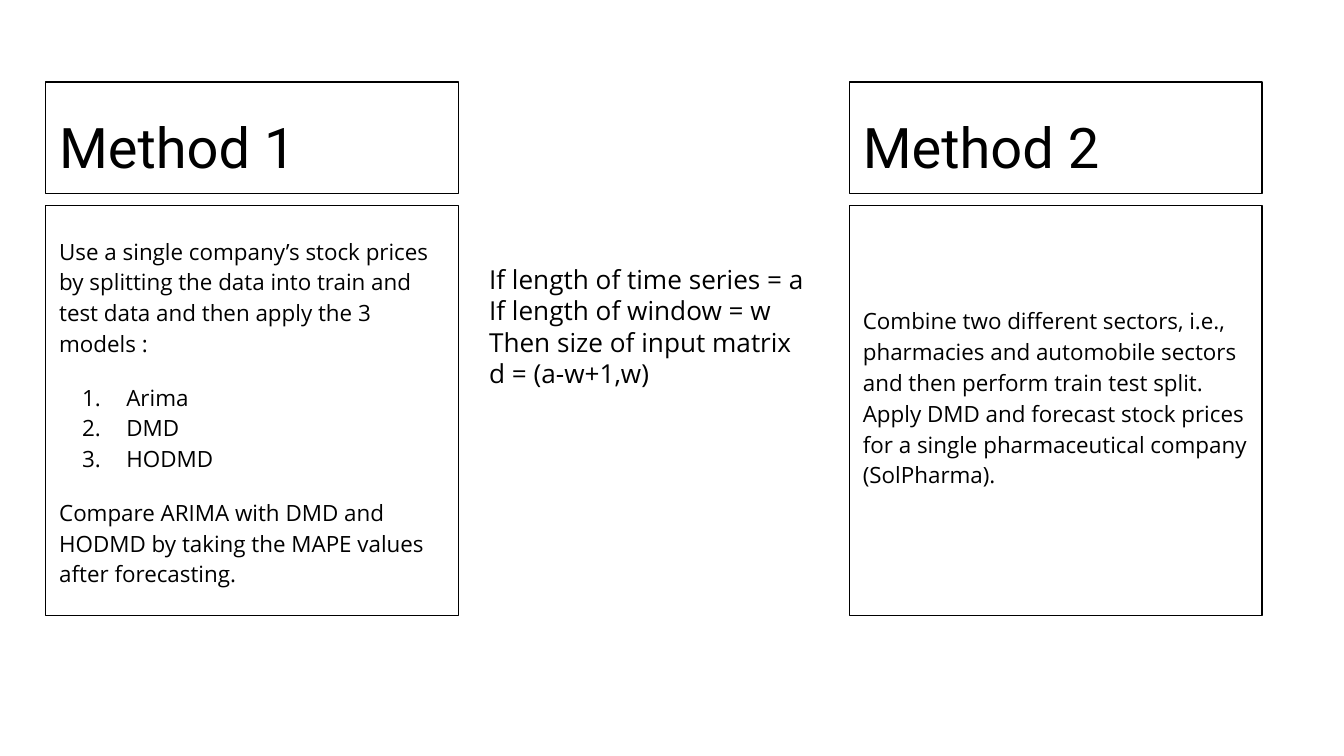
"""Build a slide that compares two forecasting methods."""
from lxml.etree import SubElement
from pptx import Presentation
from pptx.dml.color import RGBColor
from pptx.enum.text import MSO_ANCHOR, MSO_AUTO_SIZE, PP_ALIGN
from pptx.oxml.ns import qn
from pptx.util import Inches, Pt

BLACK = RGBColor(0, 0, 0)
WHITE = RGBColor(255, 255, 255)
HEAD = {"name": "Roboto", "size": Pt(30), "bold": False}
BODY = {"name": "Open Sans", "size": Pt(12), "bold": False}
NOTE = {"name": "Open Sans", "size": Pt(14), "bold": False}
INSET = Inches(0.1)
FRAME = {
    "word_wrap": True,
    "auto_size": MSO_AUTO_SIZE.NONE,
    "margin_left": INSET,
    "margin_right": INSET,
    "margin_top": INSET,
    "margin_bottom": INSET,
}


def place(shape, left, top, width, height):
    box = {"left": left, "top": top, "width": width, "height": height}
    for key, value in box.items():
        setattr(shape, key, Inches(value))
    shape.line.color.rgb = BLACK
    shape.line.width = Pt(0.75)


def write(shape, lines, font, anchor, spacing=1.0):
    frame = shape.text_frame
    for key, value in FRAME.items():
        setattr(frame, key, value)
    frame.vertical_anchor = anchor
    frame.text = "\n".join(text for text, _, _ in lines)
    for para, (_, before, count) in zip(frame.paragraphs, lines):
        form = {
            "alignment": PP_ALIGN.LEFT,
            "line_spacing": spacing,
            "space_before": Pt(before),
            "space_after": Pt(0),
        }
        for key, value in form.items():
            setattr(para, key, value)
        for key, value in font.items():
            setattr(para.runs[0].font, key, value)
        para.runs[0].font.color.rgb = BLACK
        props = para._p.get_or_add_pPr()
        props.set("marL", str(Inches(0.5 if count else 0)))
        props.set("indent", str(Inches(-0.33 if count else 0)))
        if count:
            SubElement(props, qn("a:buFont"), typeface="Open Sans")
            SubElement(props, qn("a:buAutoNum"), type="arabicPeriod")
        else:
            SubElement(props, qn("a:buNone"))


deck = Presentation()
deck.slide_width = Inches(10)
deck.slide_height = deck.slide_width * 9 // 16
slide = deck.slides.add_slide(deck.slide_layouts[4])
slide.background.fill.solid()
slide.background.fill.fore_color.rgb = WHITE
slots = {slot.placeholder_format.idx: slot for slot in slide.placeholders}

first = [
    ("Use a single company’s stock prices by splitting the data into train "
     "and test data and then apply the 3 models :", 0, False),
    ("Arima", 12, True),
    ("DMD", 0, True),
    ("HODMD", 0, True),
    ("Compare ARIMA with DMD and HODMD by taking the MAPE values after "
     "forecasting.", 12, False),
]
second = [
    ("Combine two different sectors, i.e., pharmacies and automobile sectors "
     "and then perform train test split. Apply DMD and forecast stock prices "
     "for a single pharmaceutical company (SolPharma).", 0, False),
]
cards = [
    (0.34, slots[0], "Method 1", slots[2], first),
    (6.32, slots[3], "Method 2", slots[4], second),
]
for left, head, title, body, lines in cards:
    place(head, left, 0.61, 3.07, 0.83)
    write(head, [(title, 0, False)], HEAD, MSO_ANCHOR.BOTTOM)
    place(body, left, 1.53, 3.07, 3.05)
    write(body, lines, BODY, MSO_ANCHOR.MIDDLE, 1.15)
slots[4].text_frame.margin_bottom = Inches(0.32)

spare = slots[1].element
spare.getparent().remove(spare)

note = slide.shapes.add_textbox(Inches(3.54), Inches(1.86), Inches(2.69), Inches(1.14))
facts = [
    "If length of time series = a",
    "If length of window = w",
    "Then size of input matrix",
    "d = (a-w+1,w)",
]
write(note, [(fact, 0, False) for fact in facts], NOTE, MSO_ANCHOR.TOP)
note.text_frame.auto_size = MSO_AUTO_SIZE.SHAPE_TO_FIT_TEXT

deck.save("out.pptx")
